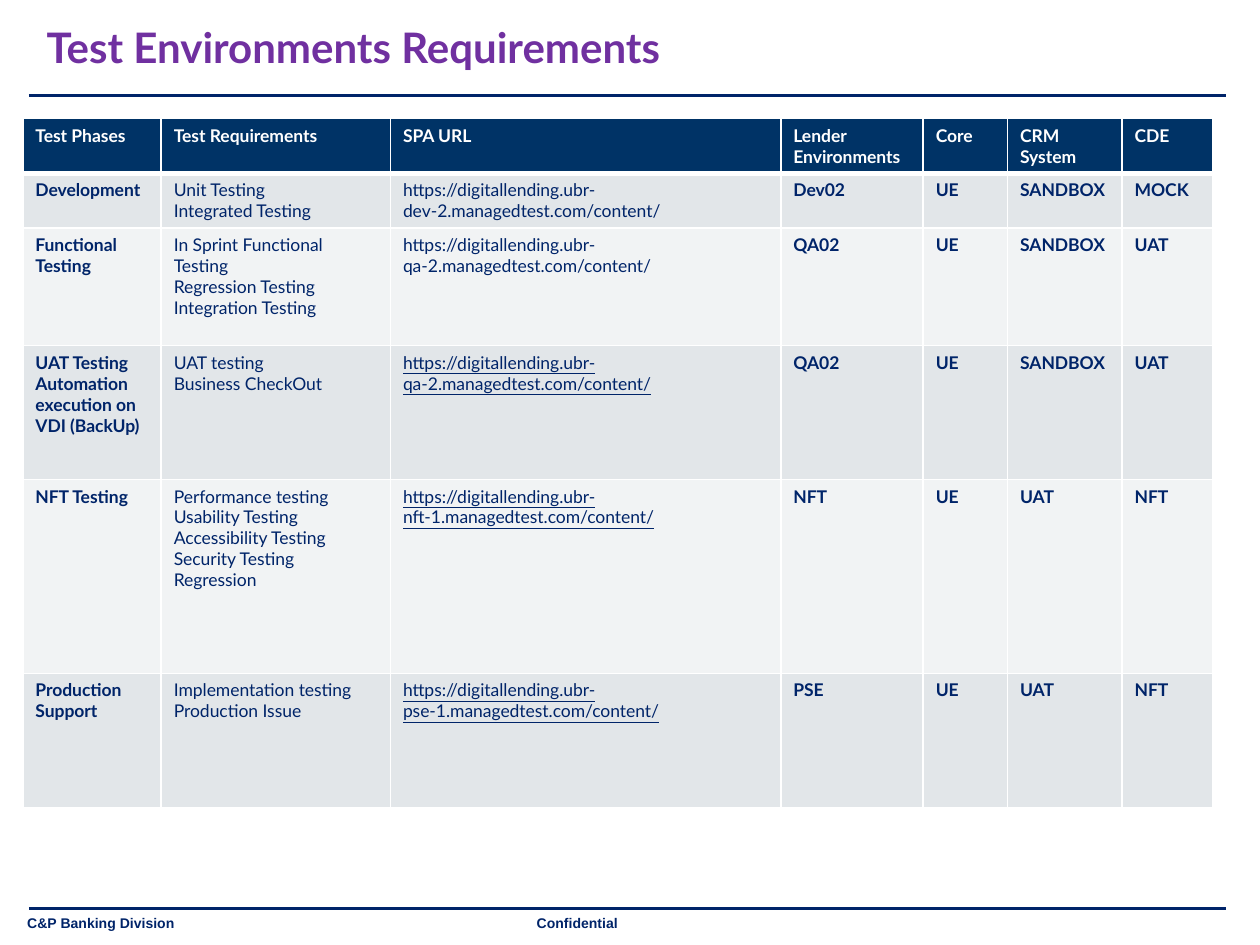
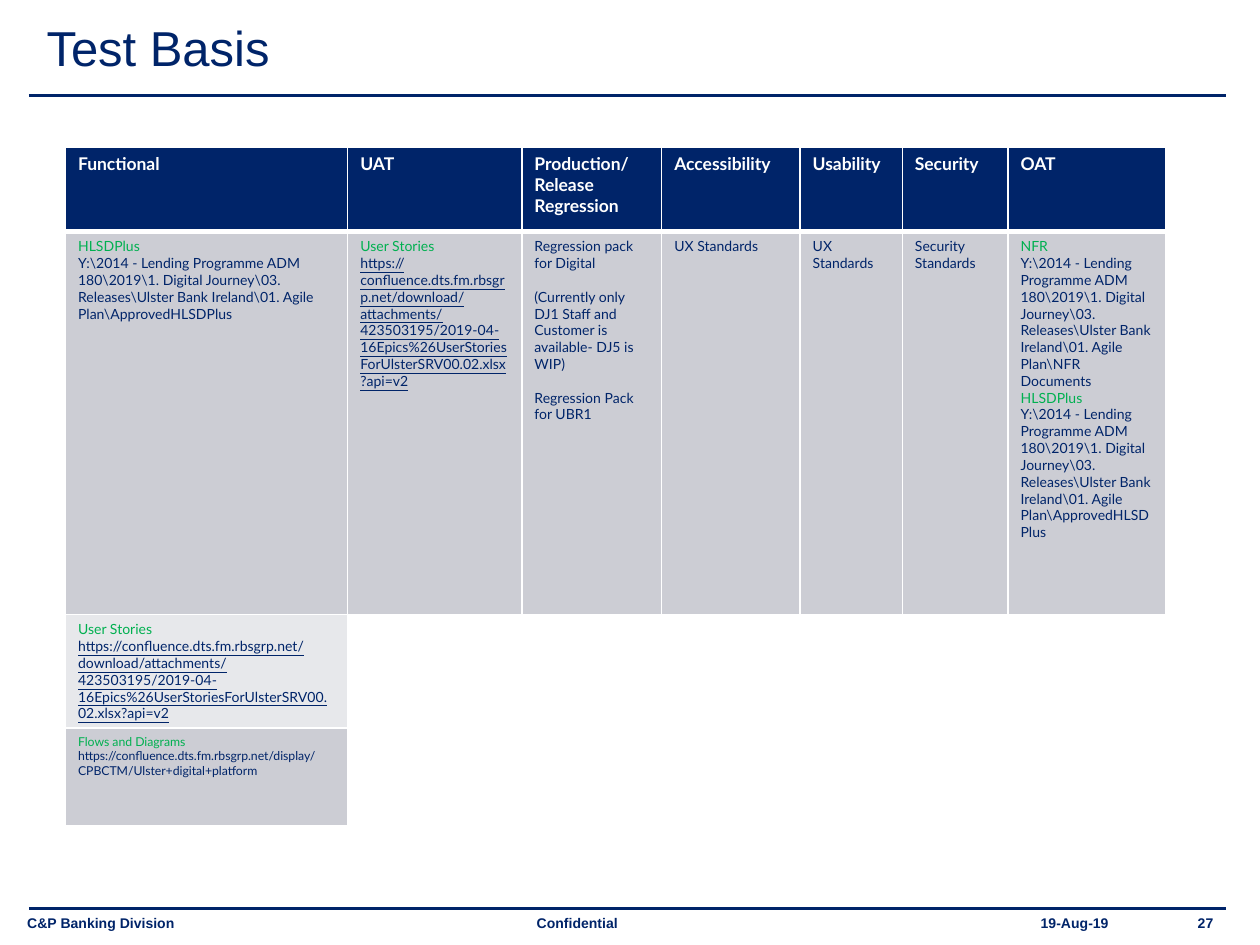
from lxml import etree
from pptx import Presentation
from pptx.dml.color import RGBColor
from pptx.enum import shapes, text
from pptx.oxml import ns
from pptx.util import Cm, Pt

NAVY = RGBColor(0x00, 0x24, 0x69)
HEADER_BLUE = RGBColor(0x00, 0x33, 0x66)
PURPLE = RGBColor(0x70, 0x30, 0xA0)
GREEN = RGBColor(0x00, 0xB0, 0x50)
WHITE = RGBColor(0xFF, 0xFF, 0xFF)
COOL_BANDS = (RGBColor(0xE2, 0xE6, 0xE9), RGBColor(0xF1, 0xF3, 0xF4))
GREY_BANDS = (RGBColor(0xCC, 0xCD, 0xD4), RGBColor(0xE7, 0xE8, 0xEB))

LEFT, RIGHT = text.PP_ALIGN.LEFT, text.PP_ALIGN.RIGHT
TOP, MIDDLE = text.MSO_ANCHOR.TOP, text.MSO_ANCHOR.MIDDLE
BODY_FONT, FRAME_FONT = "Lato", "Arial"


def write(tf, lines, **base):
    """Write one paragraph per line; a line is a string or (string, format overrides)."""
    tf.word_wrap = True
    for i, line in enumerate([lines] if isinstance(lines, (str, tuple)) else lines):
        words, extra = line if isinstance(line, tuple) else (line, {})
        fmt = {**base, **extra}
        p = tf.paragraphs[0] if i == 0 else tf.add_paragraph()
        p.alignment = fmt.get("align", LEFT)
        if "before" in fmt:
            p.space_before = Pt(fmt["before"])
        r = p.add_run()
        r.text = words
        r.font.name = fmt.get("font", BODY_FONT)
        r.font.size = Pt(fmt.get("size", 10))
        r.font.bold = fmt.get("bold", False)
        r.font.underline = fmt.get("underline", False)
        r.font.color.rgb = fmt.get("color", NAVY)


def link(words):
    return words, {"underline": True}


def heading(words):
    return words, {"color": GREEN}


def add_text(s, box, lines, anchor=TOP, **fmt):
    tf = s.shapes.add_textbox(*map(Cm, box)).text_frame
    tf.vertical_anchor = anchor
    write(tf, lines, **fmt)


def add_rule(s, y):
    line = s.shapes.add_connector(shapes.MSO_CONNECTOR.STRAIGHT,
                                  Cm(0.58), Cm(y), Cm(24.71), Cm(y))
    line.line.color.rgb = NAVY
    line.line.width = Pt(1.5)
    etree.SubElement(line._element.spPr, ns.qn("a:effectLst"))


def add_frame(prs, title, date=None, number=None, **title_format):
    """Add a slide with its title, both rules and the footer."""
    s = prs.slides.add_slide(prs.slide_layouts[6])
    add_rule(s, 1.93)
    add_rule(s, 18.31)
    add_text(s, (0.69, 0.36, 19, 1.17), title, anchor=MIDDLE, **title_format)
    footer = (("C&P Banking Division", 0.3, 9.93, LEFT), ("Confidential", 10.57, 9.93, LEFT),
              (date, 20.7, 1.9, RIGHT), (number, 22.88, 1.83, RIGHT))
    for words, x, width, align in footer:
        if words:
            add_text(s, (x, 18.32, width, 0.6), words, align=align,
                     font=FRAME_FONT, size=8, bold=True)
    return s


def set_borders(cell, **widths):
    """Draw white borders; the fill has to be set before."""
    tcPr = cell._tc.get_or_add_tcPr()
    for i, side in enumerate("LRTB"):
        ln = etree.Element(ns.qn("a:ln" + side), w=str(Pt(widths.get(side, 1))))
        fill = etree.SubElement(ln, ns.qn("a:solidFill"))
        etree.SubElement(fill, ns.qn("a:srgbClr"), val=str(WHITE))
        tcPr.insert(i, ln)


def add_grid(s, left, top, widths, heights, header_fill, bands):
    """Add a table with a filled header, banded rows and white borders."""
    table = s.shapes.add_table(len(heights), len(widths), Cm(left), Cm(top),
                               Cm(sum(widths)), Cm(sum(heights))).table
    table.horz_banding = False
    for column, width in zip(table.columns, widths):
        column.width = Cm(width)
    for i, (row, height) in enumerate(zip(table.rows, heights)):
        row.height = Cm(height)
        for cell in row.cells:
            cell.fill.solid()
            cell.fill.fore_color.rgb = bands[(i - 1) % 2] if i else header_fill
            set_borders(cell, **({"B": 3} if i == 0 else {"T": 3} if i == 1 else {}))
    return table


def fill_row(table, i, entries, **fmt):
    for j, lines in enumerate(entries):
        write(table.cell(i, j).text_frame, lines, **fmt)


def environments_slide(prs):
    s = add_frame(prs, "Test Environments Requirements", size=24, bold=True, color=PURPLE)
    table = add_grid(s, 0.46, 2.39, (2.79, 4.62, 7.87, 2.87, 1.7, 2.31, 1.83),
                     (1.09, 1.09, 2.37, 2.7, 3.91, 2.7), HEADER_BLUE, COOL_BANDS)
    fill_row(table, 0, ("Test Phases", "Test Requirements", "SPA URL", "Lender Environments",
                        "Core", "CRM System", "CDE"), bold=True, color=WHITE)
    phases = (
        ("Development", ("Unit Testing", "Integrated Testing"),
         "https://digitallending.ubr-dev-2.managedtest.com/content/",
         "Dev02", "UE", "SANDBOX", "MOCK"),
        ("Functional Testing",
         ("In Sprint Functional Testing", "Regression Testing", "Integration Testing"),
         "https://digitallending.ubr-qa-2.managedtest.com/content/",
         "QA02", "UE", "SANDBOX", "UAT"),
        (["UAT Testing", "Automation execution on VDI (BackUp)"],
         ("UAT testing", "Business CheckOut"),
         link("https://digitallending.ubr-qa-2.managedtest.com/content/"),
         "QA02", "UE", "SANDBOX", "UAT"),
        ("NFT Testing",
         ("Performance testing", "Usability Testing", "Accessibility Testing",
          "Security Testing", "Regression"),
         link("https://digitallending.ubr-nft-1.managedtest.com/content/"),
         "NFT", "UE", "UAT", "NFT"),
        ("Production Support", ("Implementation testing", "Production Issue"),
         link("https://digitallending.ubr-pse-1.managedtest.com/content/"),
         "PSE", "UE", "UAT", "NFT"),
    )
    for i, (phase, requirements, url, *systems) in enumerate(phases, 1):
        write(table.cell(i, 0).text_frame, phase, bold=True)
        write(table.cell(i, 1).text_frame, list(requirements))
        write(table.cell(i, 2).text_frame, url)
        for j, system in enumerate(systems, 3):
            write(table.cell(i, j).text_frame, system, bold=True)


def basis_slide(prs):
    s = add_frame(prs, "Test Basis", date="19-Aug-19", number="27", font=FRAME_FONT, size=28)
    table = add_grid(s, 1.32, 2.97, (5.69, 3.51, 2.82, 2.79, 2.06, 2.13, 3.18),
                     (1.7, 7.72, 2.29, 1.96), NAVY, GREY_BANDS)
    fill_row(table, 0, ("Functional", "UAT", ["Production/", "Release Regression"],
                        "Accessibility", "Usability", "Security", "OAT"),
             bold=True, color=WHITE)
    folder = ("Y:\\2014 - Lending Programme ADM 180\\2019\\1. Digital Journey\\03. Releases"
              "\\Ulster Bank Ireland\\01. Agile Plan\\")
    approved = [heading("HLSDPlus"), folder + "ApprovedHLSDPlus"]
    stories = [heading("User Stories"),
               link("https://confluence.dts.fm.rbsgrp.net/download/attachments/423503195/"
                    "2019-04-16Epics%26UserStoriesForUlsterSRV00.02.xlsx?api=v2")]
    gap = {"before": 9.6}
    regression = ["Regression pack for Digital",
                  ("(Currently only DJ1 Staff and Customer is available- DJ5 is WIP)", gap),
                  ("Regression Pack for UBR1", gap)]
    fill_row(table, 1, (approved, stories, regression, "UX Standards", "UX Standards",
                        "Security Standards",
                        [heading("NFR"), folder + "NFR Documents", *approved]), size=8)
    fill_row(table, 2, (stories,), size=8)
    fill_row(table, 3, ([heading("Flows and Diagrams"),
                         "https://confluence.dts.fm.rbsgrp.net/display/CPBCTM/"
                         "Ulster+digital+platform"],), size=7)
    empty = table.cell(2, 1)
    empty.merge(table.cell(3, 6))
    empty.fill.fore_color.rgb = WHITE


def main():
    prs = Presentation()
    prs.slide_width, prs.slide_height = Cm(25.4), Cm(19.05)
    environments_slide(prs)
    basis_slide(prs)
    prs.save("out.pptx")


if __name__ == "__main__":
    main()
